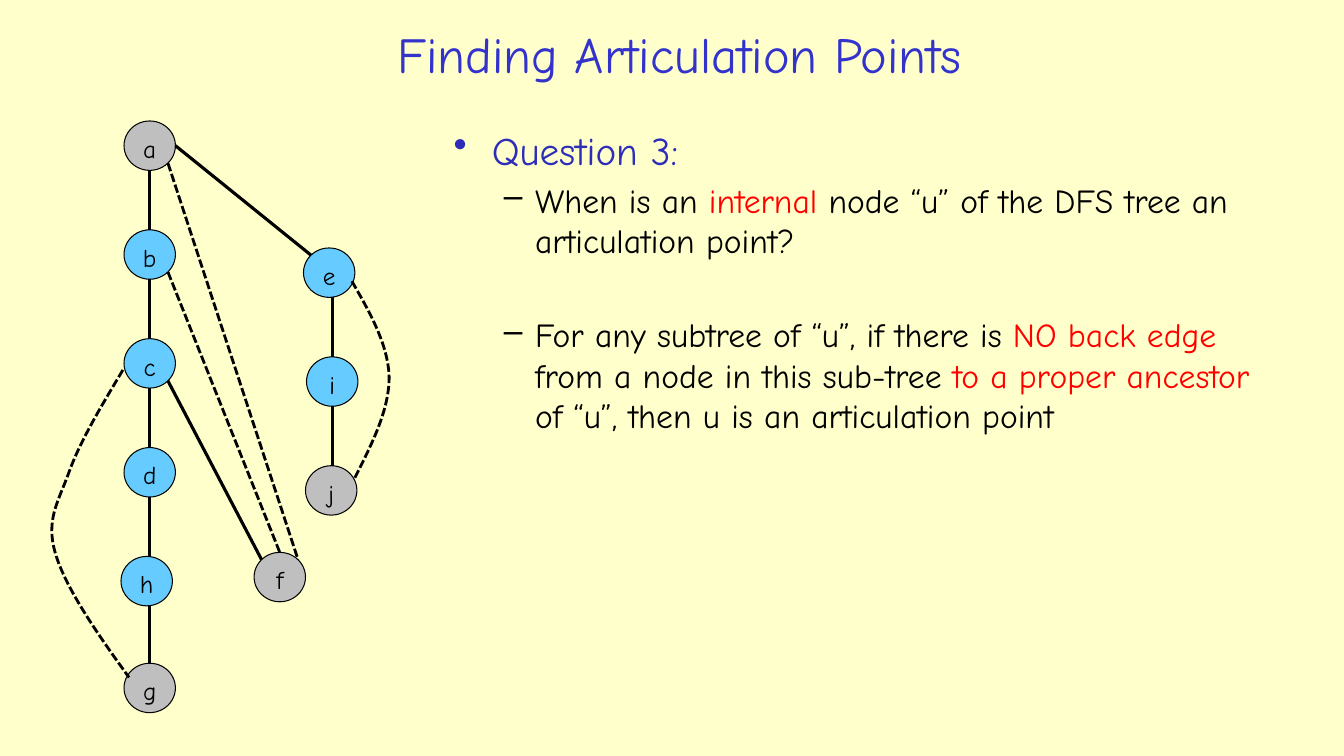
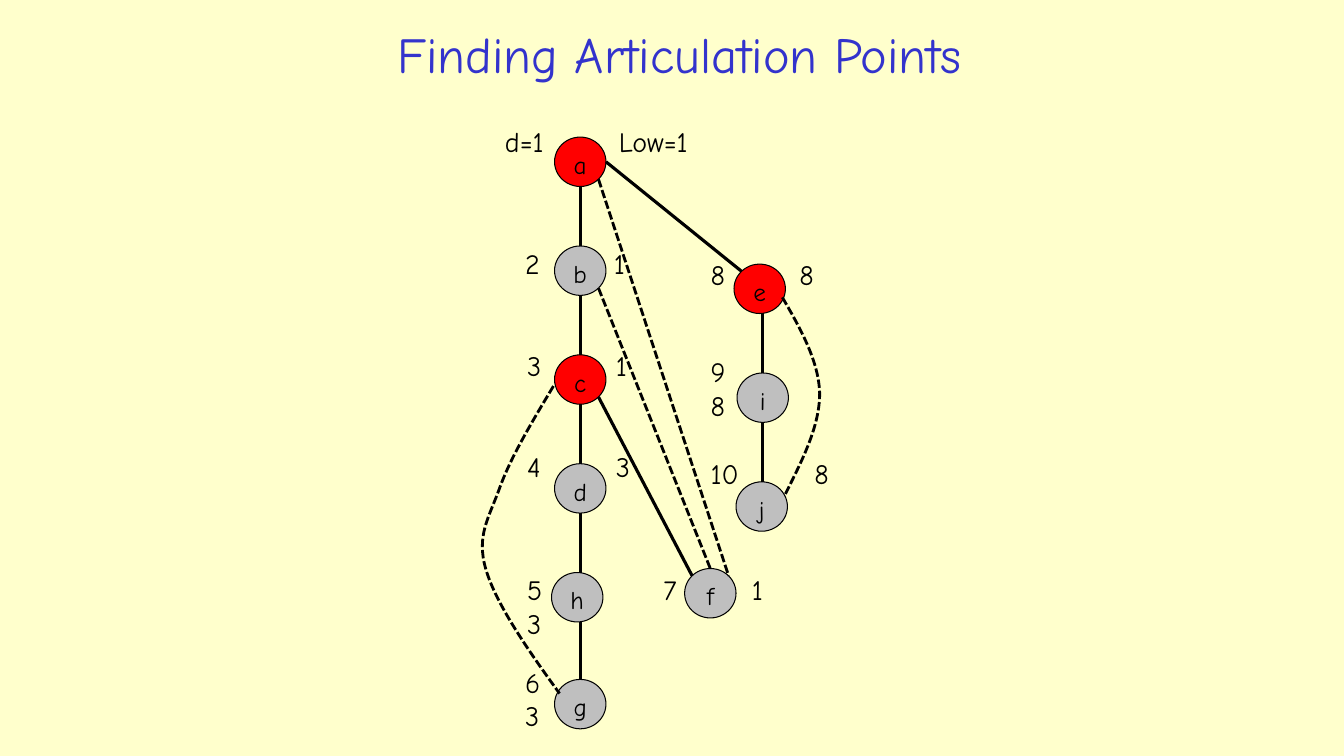
from lxml.etree import SubElement
from pptx import Presentation
from pptx.dml.color import RGBColor
from pptx.enum.dml import MSO_LINE
from pptx.enum.shapes import MSO_CONNECTOR, MSO_SHAPE
from pptx.enum.text import MSO_ANCHOR, PP_ALIGN
from pptx.oxml.ns import qn
from pptx.util import Inches, Pt

COLORS = {
    "background": "FFFFCC",
    "title": "3333CC",
    "question": "2D2DB9",
    "black": "000000",
    "red": "FF0000",
    "blue": "66CCFF",
    "gray": "BFBFBF",
}
FONT = "Comic Neue"

NODE_WIDTH, NODE_HEIGHT = 0.51, 0.49
TOP, LEVEL = 1.2, 1.08
NODES = {name: (1.23, TOP + LEVEL * level) for level, name in enumerate("abcd")}
NODES.update(h=(1.2, TOP + LEVEL * 4), g=(1.23, 6.58), f=(2.52, 5.48))
NODES.update(e=(3.01, 2.46), i=(3.04, 2.46 + LEVEL), j=(3.03, 2.46 + LEVEL * 2))

# Offsets from the centre of a node, in half widths and half heights
SITES = {
    "top": (0, -1),
    "bottom": (0, 1),
    "right": (1, 0),
    "top left": (-0.71, -0.71),
    "top right": (0.71, -0.71),
    "bottom right": (0.71, 0.71),
}
VERTICAL_EDGES = ["ab", "bc", "cd", "dh", "hg", "ei", "ij"]
SLANTED_EDGES = [
    ("c", "bottom right", "f", "top left", False),
    ("a", "right", "e", "top left", False),
    ("b", "bottom right", "f", "top", True),
    ("a", "bottom right", "f", "top right", True),
]
BACK_CURVES = [
    [(1.22, 3.67), (1.01, 4.02), (0.8, 4.37), (0.69, 4.67), (0.58, 4.98),
     (0.45, 5.15), (0.55, 5.49), (0.65, 5.83), (0.96, 6.28), (1.28, 6.72)],
    [(3.49, 2.79), (3.67, 3.1), (3.85, 3.42), (3.86, 3.74),
     (3.86, 4.07), (3.69, 4.4), (3.52, 4.74)],
]

# Left, top, discovery time, low value, tab stop between the two
SIDE_BY_SIDE = [
    (4.91, 1.19, "d=1", "Low=1", 1.13),
    (5.11, 2.4, "2", "1", 0.88),
    (5.13, 3.41, "3", "1", 0.88),
    (5.13, 4.41, "4", "3", 0.88),
    (6.48, 5.63, "7", "1", 0.88),
    (6.95, 2.51, "8", "8", 0.88),
    (6.95, 4.48, "10", "8", 1.03),
]
STACKED = [(5.13, 5.63, "5", "3"), (5.11, 6.55, "6", "3"), (6.95, 3.47, "9", "8")]


def site_point(node, site):
    left, top = NODES[node]
    across, down = SITES[site]
    return (left + NODE_WIDTH / 2 * (1 + across), top + NODE_HEIGHT / 2 * (1 + down))


class SlideWriter:
    """Holds the deck style and the slide being drawn."""

    def __init__(self, deck):
        self.deck = deck
        self.page = None
        self.paint(deck.slide_master.background.fill, "background")

    def paint(self, fill, color):
        fill.solid()
        fill.fore_color.rgb = RGBColor.from_string(COLORS[color])

    def start_page(self, title):
        self.page = self.deck.slides.add_slide(self.deck.slide_layouts[6])
        frame = self.text_box(1.97, 0.15, 9.54, 0.76)
        frame.vertical_anchor = MSO_ANCHOR.MIDDLE
        para = frame.paragraphs[0]
        para.alignment = PP_ALIGN.CENTER
        self.span(para, title, 36, "title")

    def text_box(self, left, top, width, height):
        box = self.page.shapes.add_textbox(
            Inches(left), Inches(top), Inches(width), Inches(height))
        box.text_frame.word_wrap = True
        return box.text_frame

    def span(self, para, text, size, color="black"):
        run = para.add_run()
        run.text = text
        run.font.name = FONT
        run.font.size = Pt(size)
        run.font.color.rgb = RGBColor.from_string(COLORS[color])

    def bullet(self, para, sign, margin, indent, size, spans, level=0, before=0):
        para.level = level
        properties = para._p.get_or_add_pPr()
        properties.set("marL", str(Inches(margin)))
        properties.set("indent", str(-Inches(indent)))
        SubElement(properties, qn("a:buChar"), char=sign)
        if before:
            para.space_before = Pt(before)
        for text, color in spans:
            self.span(para, text, size, color)

    def node(self, name, left, top, color):
        circle = self.page.shapes.add_shape(
            MSO_SHAPE.OVAL, Inches(left), Inches(top),
            Inches(NODE_WIDTH), Inches(NODE_HEIGHT))
        circle.shadow.inherit = False
        self.paint(circle.fill, color)
        self.stroke(circle.line, 0.75)
        frame = circle.text_frame
        frame.word_wrap = False
        frame.vertical_anchor = MSO_ANCHOR.TOP
        para = frame.paragraphs[0]
        para.alignment = PP_ALIGN.CENTER
        self.span(para, name, 18)

    def stroke(self, line, width, dashed=False):
        self.paint(line.fill, "black")
        line.width = Pt(width)
        if dashed:
            line.dash_style = MSO_LINE.SQUARE_DOT

    def edge(self, start, end, dashed=False):
        ends = [Inches(value) for value in (*start, *end)]
        line = self.page.shapes.add_connector(MSO_CONNECTOR.STRAIGHT, *ends)
        self.stroke(line.line, 2 if dashed else 2.25, dashed)
        SubElement(line._element.spPr, qn("a:effectLst"))

    def curve(self, points):
        """Draw a dashed Bezier curve: a start, then three points per piece."""
        start, *rest = [(Inches(x), Inches(y)) for x, y in points]
        builder = self.page.shapes.build_freeform(*start)
        builder.add_line_segments(rest, close=False)
        shape = builder.convert_to_shape()
        outline = shape._element.spPr.find(".//" + qn("a:path"))
        for index, segment in enumerate(outline.findall(qn("a:lnTo"))):
            if index % 3 == 0:
                piece = SubElement(outline, qn("a:cubicBezTo"))
            piece.append(segment[0])
            outline.remove(segment)
        shape.shadow.inherit = False
        shape.fill.background()
        self.stroke(shape.line, 2, dashed=True)

    def tree(self, highlighted, color, right=0, down=0):
        """Draw the DFS tree, moved by the given lengths."""
        def moved(point):
            return point[0] + right, point[1] + down

        for name, corner in NODES.items():
            self.node(name, *moved(corner), color if name in highlighted else "gray")
        for parent, child in VERTICAL_EDGES:
            start, end = site_point(parent, "bottom"), site_point(child, "top")
            middle = max(start[0], end[0])
            self.edge(moved((middle, start[1])), moved((middle, end[1])))
        for parent, leaving, child, entering, dashed in SLANTED_EDGES:
            self.edge(moved(site_point(parent, leaving)),
                      moved(site_point(child, entering)), dashed)
        for points in BACK_CURVES:
            self.curve([moved(point) for point in points])

    def side_by_side(self, left, top, first, second, stop):
        frame = self.text_box(left, top, stop + 1, 0.44)
        para = frame.paragraphs[0]
        stops = SubElement(para._p.get_or_add_pPr(), qn("a:tabLst"))
        SubElement(stops, qn("a:tab"), pos=str(Inches(stop)), algn="l")
        self.span(para, first + "\t" + second, 20)

    def stacked(self, left, top, first, second):
        frame = self.text_box(left, top, 0.5, 0.77)
        self.span(frame.paragraphs[0], first, 20)
        self.span(frame.add_paragraph(), second, 20)


def question_page(writer):
    writer.start_page("Finding Articulation Points")
    writer.tree("bcdhei", "blue")
    frame = writer.text_box(4.4, 1.2, 8.36, 5.67)
    writer.bullet(frame.paragraphs[0], "•", 0.38, 0.38, 28,
                  [("Question 3:", "question")])
    points = [
        (4.8, [("When is an ", "black"), ("internal ", "red"),
               ("node “u” of the DFS tree an articulation point?", "black")]),
        (38.4, [("For any subtree of “u”, if there is ", "black"),
                ("NO back edge", "red"),
                (" from a node in this sub-tree ", "black"),
                ("to a proper ancestor ", "red"),
                ("of “u”, then u is an articulation point", "black")]),
    ]
    for before, spans in points:
        writer.bullet(frame.add_paragraph(), "–", 0.81, 0.31, 24, spans, 1, before)


def values_page(writer):
    writer.start_page("Finding Articulation Points")
    writer.tree("ace", "red", right=4.27, down=0.16)
    for values in SIDE_BY_SIDE:
        writer.side_by_side(*values)
    for values in STACKED:
        writer.stacked(*values)


def main():
    deck = Presentation()
    deck.slide_width, deck.slide_height = Inches(13.33), Inches(7.5)
    writer = SlideWriter(deck)
    question_page(writer)
    values_page(writer)
    deck.save("out.pptx")


if __name__ == "__main__":
    main()
